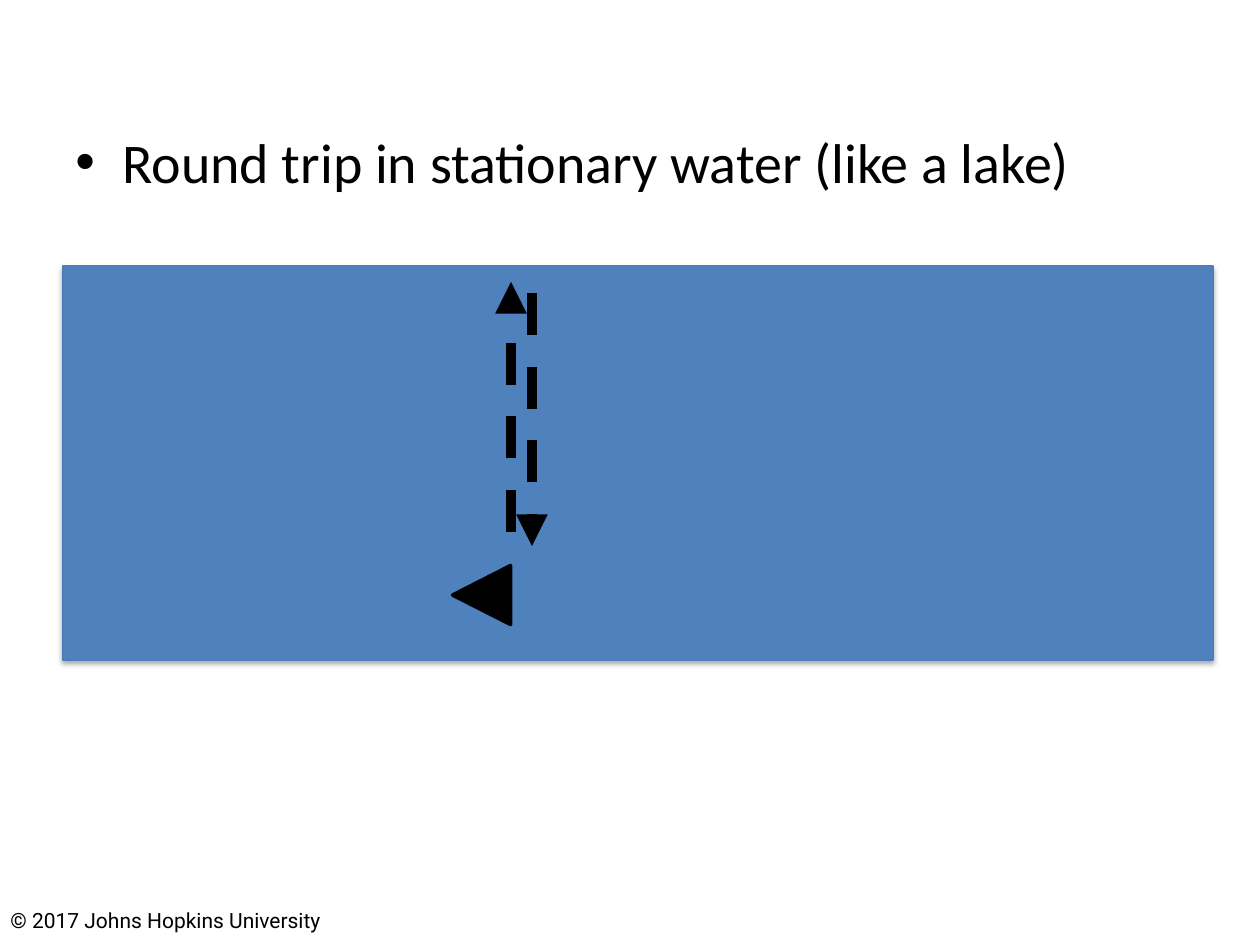
from dataclasses import dataclass

from lxml.etree import SubElement
from pptx import Presentation
from pptx.dml.color import RGBColor
from pptx.enum.dml import MSO_LINE
from pptx.enum.shapes import MSO_CONNECTOR, MSO_SHAPE as SHAPE
from pptx.enum.text import MSO_ANCHOR as ANCHOR
from pptx.oxml.ns import qn
from pptx.util import Emu, Pt

EMU_PER_PX = 914400 / 126


@dataclass(frozen=True)
class Theme:
    water: RGBColor = RGBColor(0x4F, 0x81, 0xBD)
    shore: RGBColor = RGBColor(0x4B, 0x7E, 0xBC)
    ink: RGBColor = RGBColor(0, 0, 0)
    body_font: str = "Calibri"
    body_size: int = 32
    footer_font: str = "Roboto"
    footer_size: int = 12


@dataclass(frozen=True)
class Box:
    left: int
    top: int
    width: int
    height: int

    def emu(self) -> tuple:
        return tuple(map(px, (self.left, self.top, self.width, self.height)))


@dataclass(frozen=True)
class Figure:
    preset: SHAPE
    box: Box
    fill: RGBColor
    line: RGBColor
    line_pt: float
    rotation: int = 0


@dataclass(frozen=True)
class Leg:
    """One vertical crossing of the lake."""
    x: int
    start_y: int
    end_y: int


@dataclass(frozen=True)
class Label:
    text: str
    box: Box
    font: str
    size: int
    anchor: ANCHOR
    bullet_indent: int = 0


THEME = Theme()
LAKE = Figure(SHAPE.RECTANGLE, Box(63, 266, 1150, 394),
              THEME.water, THEME.shore, 0.75)
BOAT = Figure(SHAPE.ISOSCELES_TRIANGLE, Box(452, 566, 59, 58),
              THEME.ink, THEME.ink, 2, 270)
LEGS = (Leg(511, 532, 282), Leg(532, 293, 546))
LABELS = (
    Label("© 2017 Johns Hopkins University", Box(-2, 895, 383, 50),
          THEME.footer_font, THEME.footer_size, ANCHOR.MIDDLE),
    Label("Round trip in stationary water (like a lake)",
          Box(63, 121, 1134, 624),
          THEME.body_font, THEME.body_size, ANCHOR.TOP, 47),
)


def px(n: int) -> Emu:
    return Emu(round(n * EMU_PER_PX))


def add_figure(slide, fig: Figure):
    sp = slide.shapes.add_shape(fig.preset, *fig.box.emu())
    sp.rotation = fig.rotation
    sp.fill.solid()
    sp.fill.fore_color.rgb = fig.fill
    sp.line.color.rgb = fig.line
    sp.line.width = Pt(fig.line_pt)
    sp.shadow.inherit = False
    return sp


def add_soft_shadow(sp) -> None:
    effects = sp._element.spPr.find(qn("a:effectLst"))
    shadow = SubElement(effects, qn("a:outerShdw"), blurRad=str(Pt(3.1)),
                        dist=str(Pt(1.8)), dir="5400000", rotWithShape="0")
    color = SubElement(shadow, qn("a:srgbClr"), val="000000")
    SubElement(color, qn("a:alpha"), val="35000")


def add_leg(slide, leg: Leg) -> None:
    line = slide.shapes.add_connector(
        MSO_CONNECTOR.STRAIGHT,
        px(leg.x), px(leg.start_y), px(leg.x), px(leg.end_y))
    line.line.color.rgb = THEME.ink
    line.line.width = Pt(6)
    line.line.dash_style = MSO_LINE.DASH
    SubElement(line.line._get_or_add_ln(), qn("a:tailEnd"), type="triangle")
    SubElement(line._element.spPr, qn("a:effectLst"))


def add_label(slide, label: Label) -> None:
    tf = slide.shapes.add_textbox(*label.box.emu()).text_frame
    tf.word_wrap = True
    tf.vertical_anchor = label.anchor
    tf.text = label.text
    p = tf.paragraphs[0]
    if label.bullet_indent:
        indent = px(label.bullet_indent)
        pPr = p._p.get_or_add_pPr()
        pPr.set("marL", str(indent))
        pPr.set("indent", str(-indent))
        SubElement(pPr, qn("a:buFont"), typeface="Arial")
        SubElement(pPr, qn("a:buChar"), char="•")
    font = p.runs[0].font
    font.name = label.font
    font.size = Pt(label.size)
    font.color.rgb = THEME.ink


def main() -> None:
    prs = Presentation()
    prs.slide_width, prs.slide_height = px(1260), px(945)
    slide = prs.slides.add_slide(prs.slide_layouts[6])
    footer, heading = LABELS
    outbound, inbound = LEGS
    add_label(slide, footer)
    add_soft_shadow(add_figure(slide, LAKE))
    add_leg(slide, outbound)
    add_label(slide, heading)
    add_figure(slide, BOAT)
    add_leg(slide, inbound)
    prs.save("out.pptx")


if __name__ == "__main__":
    main()
